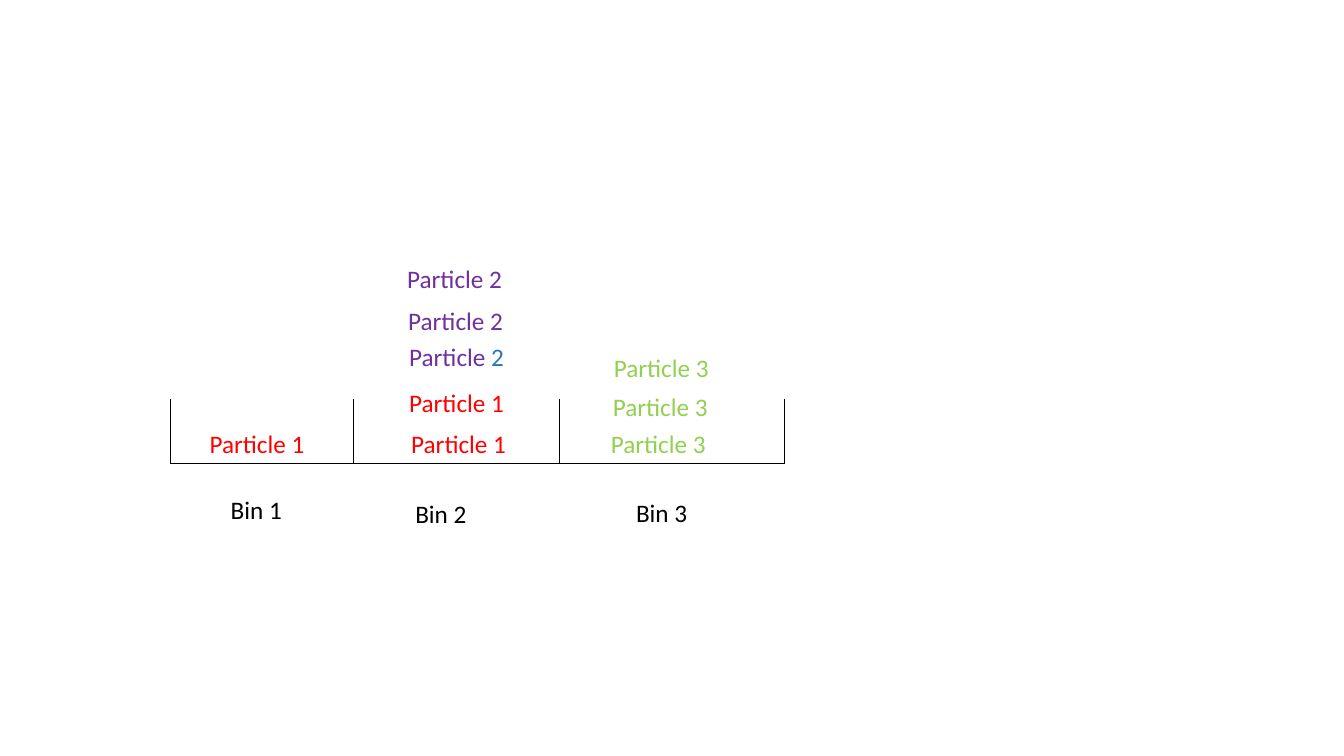
from lxml.etree import SubElement
from pptx import Presentation
from pptx.dml.color import RGBColor
from pptx.enum.shapes import MSO_CONNECTOR as Connector
from pptx.enum.text import MSO_AUTO_SIZE as AutoSize
from pptx.oxml.ns import qn
from pptx.util import Inches, Pt

COLORS = {
    "black": "000000",
    "red": "FF0000",
    "purple": "7030A0",
    "green": "92D050",
    "blue": "2E75B6",
}
FONT = {"name": "Calibri", "size": Pt(18)}
FRAME = {"word_wrap": False, "auto_size": AutoSize.SHAPE_TO_FIT_TEXT}


class BinSlide:
    def __init__(self, presentation):
        self.slide = presentation.slides.add_slide(presentation.slide_layouts[6])

    def line(self, x1, y1, x2, y2):
        connector = self.slide.shapes.add_connector(
            Connector.STRAIGHT, Inches(x1), Inches(y1), Inches(x2), Inches(y2))
        connector.line.color.rgb = RGBColor.from_string(COLORS["black"])
        connector.line.width = Pt(0.5)
        SubElement(connector._element.spPr, qn("a:effectLst"))

    def label(self, left, top, width, *runs):
        shape = self.slide.shapes.add_textbox(
            Inches(left), Inches(top), Inches(width), Inches(0.4))
        for name, value in FRAME.items():
            setattr(shape.text_frame, name, value)
        paragraph = shape.text_frame.paragraphs[0]
        for text, color in runs:
            run = paragraph.add_run()
            run.text = text
            for name, value in FONT.items():
                setattr(run.font, name, value)
            run.font.color.rgb = RGBColor.from_string(COLORS[color])


def main():
    presentation = Presentation()
    presentation.slide_width = Inches(13.33)
    presentation.slide_height = Inches(7.5)
    bins = BinSlide(presentation)

    # Floor and walls of the bins
    walls, floor, rim = (1.69, 3.5, 5.55, 7.78), 4.6, 3.96
    bins.line(walls[0], floor, walls[-1], floor)
    for wall in walls:
        bins.line(wall, floor, wall, rim)

    # Particles stacked in each bin, from the floor upwards
    particles = [
        (1.98, 4.2, ("Particle 1", "red")),
        (3.98, 4.2, ("Particle 1", "red")),
        (3.96, 3.79, ("Particle 1", "red")),
        (3.96, 3.34, ("Particle", "purple"), (" 2", "blue")),
        (3.95, 2.98, ("Particle 2", "purple")),
        (3.94, 2.56, ("Particle 2", "purple")),
        (5.96, 4.2, ("Particle 3", "green")),
        (5.98, 3.83, ("Particle 3", "green")),
        (5.99, 3.45, ("Particle 3", "green")),
    ]
    for left, top, *runs in particles:
        bins.label(left, top, 1.15, *runs)

    # Bin names
    for number, (left, top) in enumerate([(2.19, 4.85), (4.02, 4.89), (6.21, 4.88)], 1):
        bins.label(left, top, 0.72, (f"Bin {number}", "black"))

    presentation.save("out.pptx")


if __name__ == "__main__":
    main()
